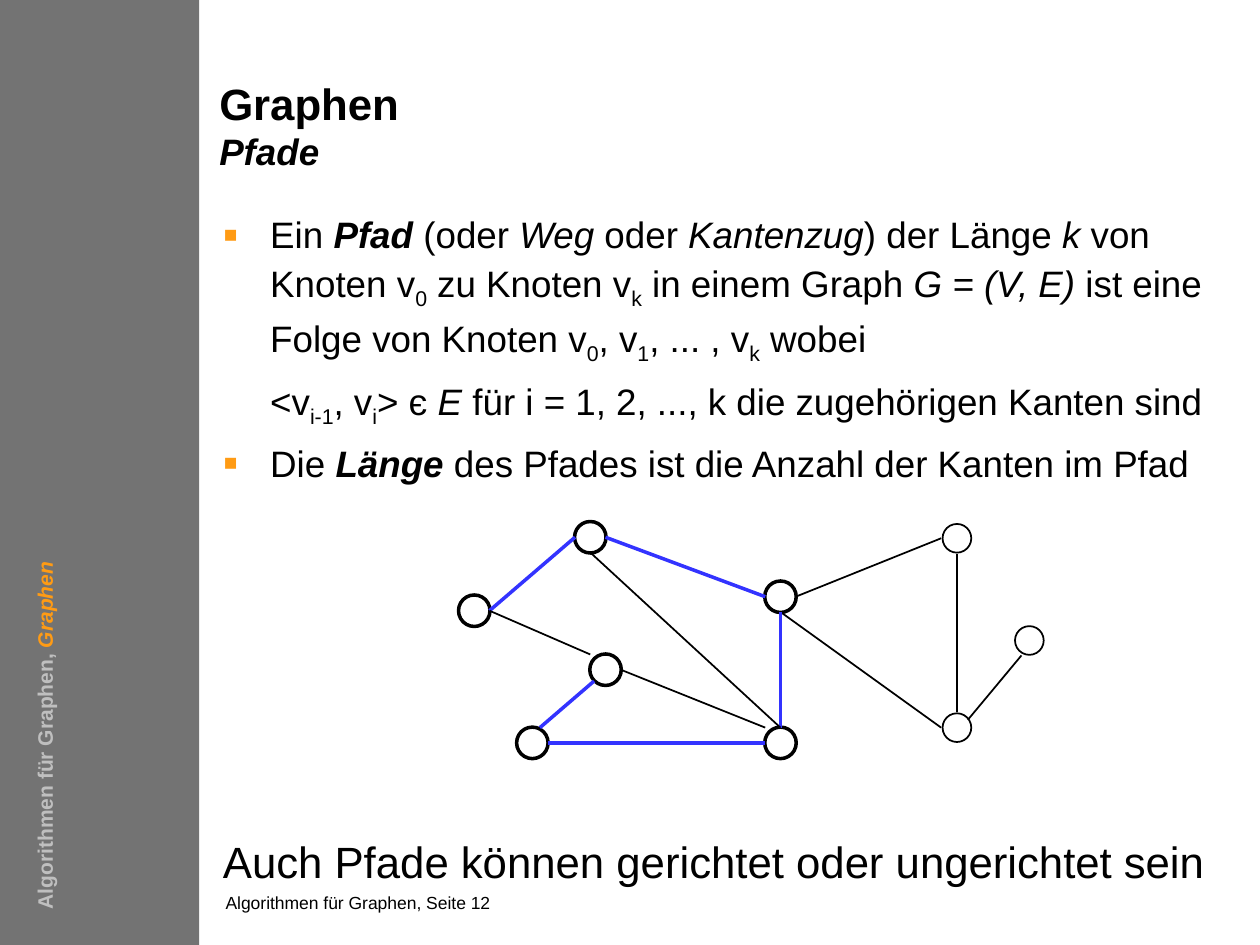
import dataclasses
import lxml.etree
import pptx
import pptx.dml.color
import pptx.enum.shapes
import pptx.enum.text
import pptx.oxml.ns
import pptx.util

Pt = pptx.util.Pt
Text = pptx.enum.text
Kind = pptx.enum.shapes


@dataclasses.dataclass(frozen=True)
class Theme:
    font: str = "Arial"
    ink: str = "000000"
    bar: str = "737373"
    pale: str = "BFBFBF"
    gold: str = "FF9B14"
    blue: str = "3333FF"
    head: int = 25
    body: int = 21
    side: int = 12
    foot: int = 10


THEME = Theme()
STYLES = {
    "": {},
    "b": {"bold": True},
    "i": {"italic": True},
    "bi": {"bold": True, "italic": True},
    "sub": {},
}
FRAME = {
    "margin_left": 0, "margin_top": 0, "margin_right": 0, "margin_bottom": 0,
    "word_wrap": True, "auto_size": Text.MSO_AUTO_SIZE.NONE,
    "vertical_anchor": Text.MSO_ANCHOR.TOP,
}

PATH = [
    ("Ein ", ""), ("Pfad", "bi"), (" (oder ", ""), ("Weg", "i"),
    (" oder ", ""), ("Kantenzug", "i"), (") der Länge ", ""), ("k", "i"),
    (" von Knoten v", ""), ("0", "sub"), (" zu Knoten v", ""), ("k", "sub"),
    (" in einem Graph ", ""), ("G = (V, E)", "i"),
    (" ist eine Folge von Knoten v", ""), ("0", "sub"), (", v", ""),
    ("1", "sub"), (", ... , v", ""), ("k", "sub"), (" wobei", ""),
]
EDGE = [
    ("<v", ""), ("i-1", "sub"), (", v", ""), ("i", "sub"), ("> є ", ""),
    ("E", "i"), (" für i = 1, 2, ..., k die zugehörigen Kanten sind", ""),
]
SIZE = [
    ("Die ", ""), ("Länge", "bi"),
    (" des Pfades ist die Anzahl der Kanten im Pfad", ""),
]
NOTE = [("Auch Pfade können gerichtet oder ungerichtet sein", "")]

NODES = {
    "a": (271, 349, True), "b": (337.3, 307, True), "c": (346, 382.7, True),
    "d": (446, 341, True), "e": (446, 424.5, True), "f": (546.8, 307.6, False),
    "g": (304.2, 424.5, True), "h": (546.8, 415.8, False),
    "i": (588.2, 366, False),
}
LEFT, RIGHT, TOP, BASE = (-1, 0), (1, 0), (0, -1), (0, 1)
EDGES = [
    ("a", RIGHT, "b", LEFT, True),
    ("b", RIGHT, "d", LEFT, True),
    ("d", RIGHT, "f", LEFT, False),
    ("f", BASE, "h", TOP, False),
    ("h", (0.7, -0.5), "i", (-0.5, 0.95), False),
    ("h", LEFT, "d", BASE, False),
    ("d", BASE, "e", TOP, True),
    ("e", LEFT, "g", RIGHT, True),
    ("e", (-1, -1), "c", RIGHT, False),
    ("e", TOP, "b", BASE, False),
    ("g", (0.5, -1), "c", (-0.75, 0.75), True),
    ("c", (-1, -1), "a", RIGHT, False),
]


def put(item, values):
    for name, value in values.items():
        setattr(item, name, value)


def tint(text):
    return pptx.dml.color.RGBColor.from_string(text)


def place(shape, left, top, width, height):
    put(shape, {"left": Pt(left), "top": Pt(top),
                "width": Pt(width), "height": Pt(height)})


def write(para, text, size, color, style=""):
    run = para.add_run()
    run.text = text
    put(run.font, {"name": THEME.font, "size": Pt(size),
                   "bold": False, "italic": False})
    put(run.font, STYLES[style])
    run.font.color.rgb = tint(color)
    if style == "sub":
        run.font._element.set("baseline", "-25000")


def mark(para, hang, dot):
    props = para._p.get_or_add_pPr()
    props.set("marL", str(Pt(hang)))
    props.set("indent", str(Pt(-hang) if dot else 0))

    def add(home, tag, **values):
        return lxml.etree.SubElement(home, pptx.oxml.ns.qn(tag), values)

    if dot:
        add(add(props, "a:buClr"), "a:srgbClr", val=THEME.gold)
        add(props, "a:buSzPct", val="120000")
        add(props, "a:buFont", typeface=THEME.font)
        add(props, "a:buChar", char="▪")
    else:
        add(props, "a:buNone")


def title(slide):
    shape = slide.shapes.title
    place(shape, 125.3, 48.2, 367.2, 54)
    put(shape.text_frame, FRAME)
    para = shape.text_frame.paragraphs[0]
    put(para, {"alignment": Text.PP_ALIGN.LEFT, "line_spacing": Pt(25.4)})
    write(para, "Graphen", THEME.head, THEME.ink, "b")
    para.add_line_break()
    write(para, "Pfade", THEME.body, THEME.ink, "bi")


def body(slide):
    shape = slide.placeholders[1]
    place(shape, 127.4, 118.5, 583, 384)
    frame = shape.text_frame
    put(frame, FRAME)
    rows = [(PATH, 27, True, 0, THEME.body), (EDGE, 27, False, 4.2, THEME.body),
            (SIZE, 27, True, 4.2, THEME.body), (NOTE, 0, False, 197, THEME.head)]
    for spot, (parts, hang, dot, gap, size) in enumerate(rows):
        para = frame.add_paragraph() if spot else frame.paragraphs[0]
        mark(para, hang, dot)
        put(para, {"line_spacing": 1.1, "space_before": Pt(gap),
                   "alignment": Text.PP_ALIGN.LEFT})
        for text, style in parts:
            write(para, text, size, THEME.ink, style)


def label(slide, box, parts, size, **extra):
    shape = slide.shapes.add_textbox(*map(Pt, box))
    put(shape.text_frame, {**FRAME, **extra})
    for text, color, style in parts:
        write(shape.text_frame.paragraphs[0], text, size, color, style)
    return shape


def bar(slide):
    shape = slide.shapes.add_shape(
        Kind.MSO_SHAPE.RECTANGLE, 0, 0, Pt(113.8), Pt(540))
    shape.shadow.inherit = False
    shape.fill.solid()
    shape.fill.fore_color.rgb = tint(THEME.bar)
    shape.line.fill.background()


def node(slide, x, y, bold):
    half = 9 if bold else 8.2
    shape = slide.shapes.add_shape(
        Kind.MSO_SHAPE.OVAL, *map(Pt, (x - half, y - half, 2 * half, 2 * half)))
    shape.shadow.inherit = False
    shape.fill.background()
    shape.line.color.rgb = tint(THEME.ink)
    shape.line.width = Pt(2 if bold else 1)


def port(name, side):
    x, y, bold = NODES[name]
    reach = 8.7 if bold else 9
    return Pt(x + side[0] * reach), Pt(y + side[1] * reach)


def edge(slide, start, out, end, into, path):
    line = slide.shapes.add_connector(
        Kind.MSO_CONNECTOR.STRAIGHT, *port(start, out), *port(end, into))
    line.line.color.rgb = tint(THEME.blue if path else THEME.ink)
    line.line.width = Pt(2 if path else 1)
    lxml.etree.SubElement(line._element.spPr, pptx.oxml.ns.qn("a:effectLst"))


def main():
    deck = pptx.Presentation()
    put(deck, {"slide_width": Pt(720), "slide_height": Pt(540)})
    slide = deck.slides.add_slide(deck.slide_layouts[1])
    bar(slide)
    label(slide, (128.9, 509.8, 350, 15),
          [("Algorithmen für Graphen, Seite 12", THEME.ink, "")], THEME.foot)
    title(slide)
    body(slide)
    for spot in NODES.values():
        node(slide, *spot)
    for link in EDGES:
        edge(slide, *link)
    side = label(slide, (-142.6, 347.8, 336.2, 21.6),
                 [("Algorithmen für Graphen, ", THEME.pale, "b"),
                  ("Graphen", THEME.gold, "bi")], THEME.side,
                 margin_left=Pt(7.2), margin_top=Pt(3.6))
    side.rotation = 270
    deck.save("out.pptx")


if __name__ == "__main__":
    main()
